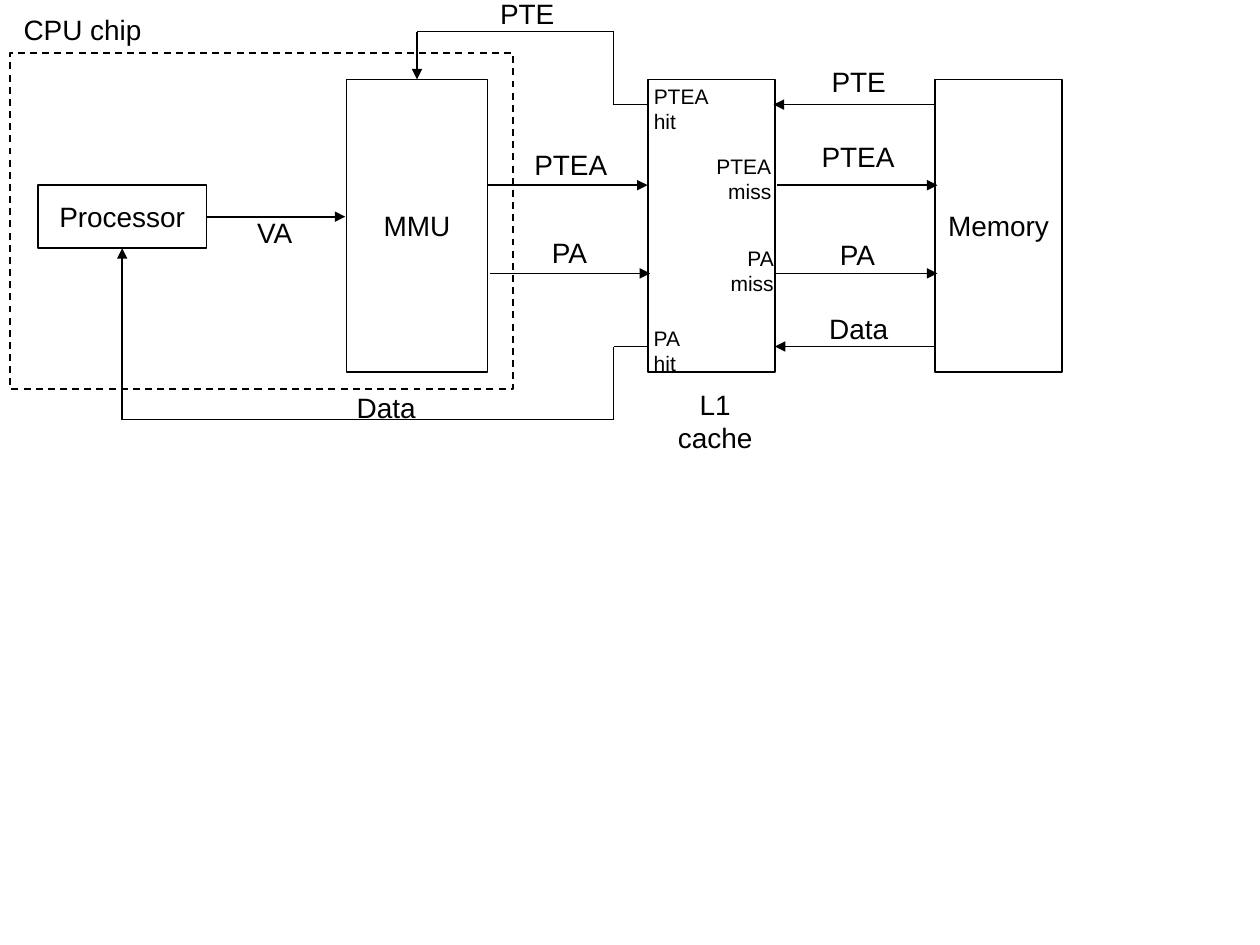
from lxml import etree
from pptx import Presentation
from pptx import util as u
from pptx.dml.color import RGBColor
from pptx.enum import dml, shapes, text
from pptx.oxml.ns import qn

BLACK = "000000"
LEFT, CENTER, RIGHT = text.PP_ALIGN.LEFT, text.PP_ALIGN.CENTER, text.PP_ALIGN.RIGHT


def color(hex_string):
    """Turn a hex string into a colour."""
    return RGBColor.from_string(hex_string)


def set_line(line, dash=None):
    """Give a line the common black one-point style."""
    line.color.rgb = color(BLACK)
    line.width = u.Pt(1)
    if dash:
        line.dash_style = dash


def write(tf, lines, size=16, align=CENTER, spacing=None):
    """Write each line as a paragraph of unwrapped Arial text."""
    tf.word_wrap = False
    tf.vertical_anchor = text.MSO_ANCHOR.MIDDLE
    for i, line in enumerate(lines):
        p = tf.add_paragraph() if i else tf.paragraphs[0]
        p.alignment = align
        if spacing:
            p.line_spacing = spacing
        r = p.add_run()
        r.text = line
        r.font.size = u.Pt(size)
        r.font.name = "Arial"
        r.font.color.rgb = color(BLACK)


def add_box(s, x, y, w, h, label=None, dash=None):
    """Add an unfilled outlined rectangle with an optional label."""
    sp = s.shapes.add_shape(shapes.MSO_SHAPE.RECTANGLE, *map(u.Inches, (x, y, w, h)))
    sp.shadow.inherit = False
    sp.fill.background()
    set_line(sp.line, dash)
    if label:
        write(sp.text_frame, [label])
    return sp


def add_label(s, x, y, w, h, lines, size=16, align=CENTER):
    """Add a text box that fits its text."""
    tf = s.shapes.add_textbox(*map(u.Inches, (x, y, w, h))).text_frame
    write(tf, lines, size, align)
    tf.auto_size = text.MSO_AUTO_SIZE.SHAPE_TO_FIT_TEXT


def add_address_label(s, x, y, w, label):
    """Add a tight, top-anchored label for an address signal."""
    tf = s.shapes.add_textbox(*map(u.Inches, (x, y, w, 0.28))).text_frame
    write(tf, [label], align=LEFT, spacing=0.85)
    tf.vertical_anchor = text.MSO_ANCHOR.TOP
    tf.margin_left = tf.margin_right = u.Inches(0.07)
    tf.margin_top = tf.margin_bottom = u.Inches(0.03)
    tf.auto_size = text.MSO_AUTO_SIZE.SHAPE_TO_FIT_TEXT


def add_line(s, x1, y1, x2, y2, arrow=True, begin=None, end=None):
    """Add a straight line, joined to a (shape, site) pair where given."""
    c = s.shapes.add_connector(shapes.MSO_CONNECTOR.STRAIGHT, *map(u.Inches, (x1, y1, x2, y2)))
    set_line(c.line)
    if begin:
        c.begin_connect(*begin)
    if end:
        c.end_connect(*end)
    if arrow:
        ln = c.line._get_or_add_ln()
        etree.SubElement(ln, qn("a:tailEnd"), type="triangle")
    etree.SubElement(c._element.spPr, qn("a:effectLst"))


def add_route(s, points, end):
    """Add a chain of lines whose last one is an arrow joined to a shape."""
    last = len(points) - 2
    for i, (a, b) in enumerate(zip(points, points[1:])):
        add_line(s, *a, *b, arrow=i == last, end=end if i == last else None)


def main():
    """Build the slide."""
    prs = Presentation()
    prs.slide_width, prs.slide_height = u.Inches(10), u.Inches(7.5)
    s = prs.slides.add_slide(prs.slide_layouts[6])

    top, height = 0.63, 2.32
    processor = add_box(s, 0.3, 1.47, 1.34, 0.5, "Processor")
    mmu = add_box(s, 2.75, top, 1.12, height, "MMU")
    add_box(s, 5.14, top, 1.01, height)
    add_box(s, 7.42, top, 1.01, height, "Memory")
    add_box(s, 0.08, 0.42, 3.99, 2.67, dash=dml.MSO_LINE.DASH)

    pte_y, ptea_y, pa_y, data_y = 0.83, 1.47, 2.17, 2.75
    add_line(s, 1.64, 1.72, 2.74, 1.72, begin=(processor, 3))
    for x1, x2, y in [
        (3.87, 5.14, ptea_y), (3.89, 5.16, pa_y),
        (6.17, 7.44, ptea_y), (6.15, 7.44, pa_y),
        (7.42, 6.14, pte_y), (7.43, 6.15, data_y),
    ]:
        add_line(s, x1, y, x2, y)
    add_route(s, [(5.14, pte_y), (4.87, pte_y), (4.87, 0.25), (3.31, 0.25), (3.31, top)], (mmu, 0))
    add_route(s, [(5.14, data_y), (4.87, data_y), (4.87, 3.33), (0.97, 3.33), (0.97, 1.97)], (processor, 2))

    for x, y, w, label in [
        (1.97, 1.72, 0.44, "VA"), (4.17, 1.18, 0.72, "PTEA"),
        (4.31, 1.88, 0.44, "PA"), (6.45, 1.12, 0.72, "PTEA"),
    ]:
        add_address_label(s, x, y, w, label)
    for x, y, w, label in [
        (0.06, 0.05, 1.19, "CPU chip"), (3.87, -0.08, 0.63, "PTE"),
        (2.73, 3.05, 0.67, "Data"), (6.5, 0.46, 0.63, "PTE"),
        (6.56, 1.83, 0.49, "PA"), (6.48, 2.42, 0.67, "Data"),
    ]:
        add_label(s, x, y, w, 0.37, [label])
    add_label(s, 5.28, 3.02, 0.79, 0.64, ["L1", "cache"])
    for x, y, w, lines, align in [
        (5.09, 0.61, 0.68, ["PTEA", "hit"], LEFT),
        (5.54, 1.17, 0.68, ["PTEA", "miss"], RIGHT),
        (5.7, 1.9, 0.54, ["PA", "miss"], RIGHT),
        (5.09, 2.53, 0.47, ["PA", "hit"], LEFT),
    ]:
        add_label(s, x, y, w, 0.5, lines, 12, align)

    prs.save("out.pptx")


if __name__ == "__main__":
    main()
